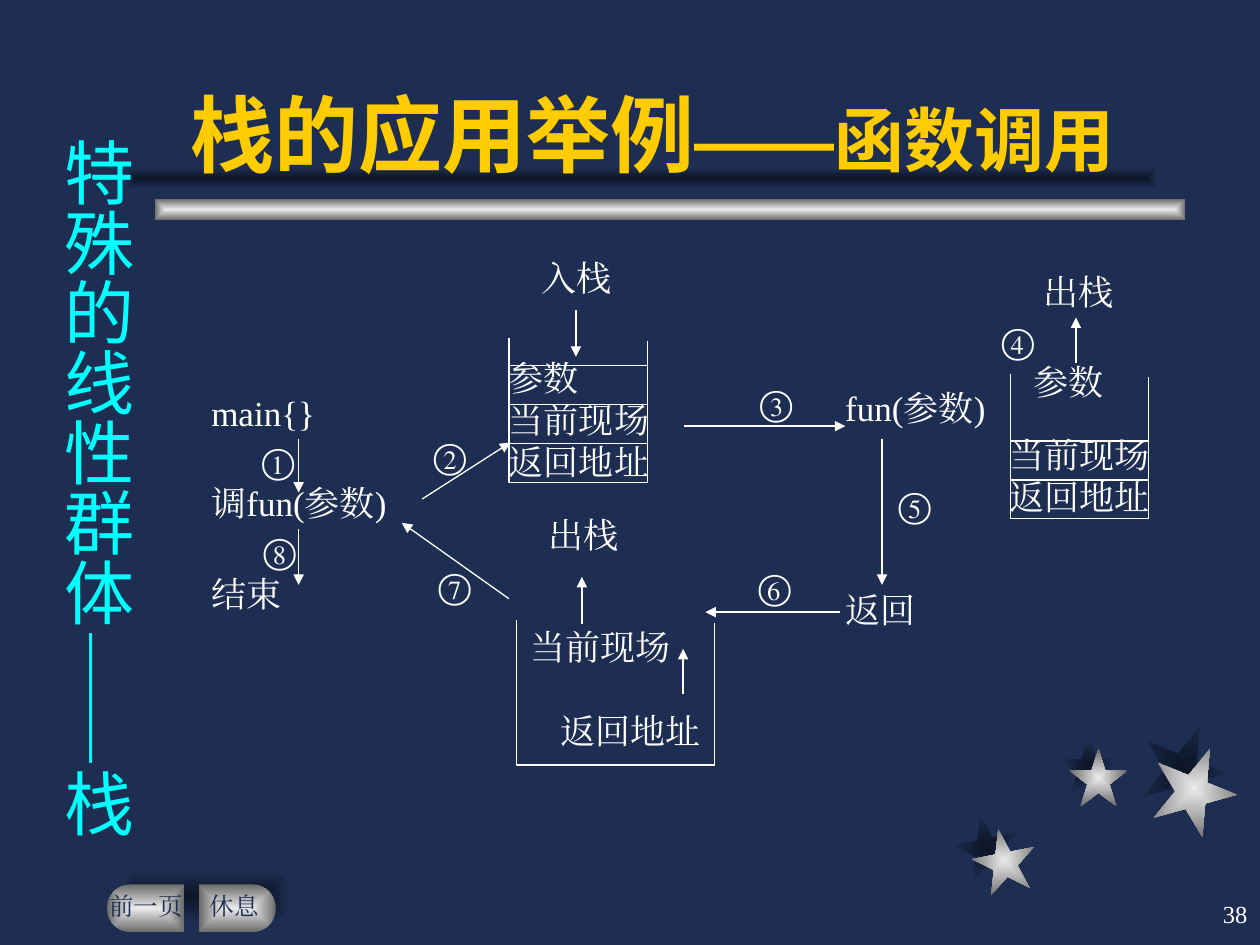
"""Build the slide on stacks and function calls."""
from math import cos, pi, sin

from lxml.etree import SubElement
from pptx import Presentation
from pptx.dml.color import RGBColor
from pptx.enum.shapes import MSO_CONNECTOR, MSO_SHAPE
from pptx.enum.text import MSO_ANCHOR, MSO_AUTO_SIZE, PP_ALIGN
from pptx.oxml.ns import qn
from pptx.util import Cm, Pt

NAVY = RGBColor(0x1E, 0x2E, 0x53)
SHADE = RGBColor(0x0D, 0x15, 0x26)
SILVER = RGBColor(0xEA, 0xEA, 0xEA)
GREY = RGBColor(0x6B, 0x6B, 0x6B)
GOLD = RGBColor(0xFF, 0xCC, 0x00)
CYAN = RGBColor(0x00, 0xFF, 0xFF)
WHITE = RGBColor(0xFF, 0xFF, 0xFF)
DARK, LIGHT = (SHADE, NAVY), (SILVER, GREY)
SERIF = "Times New Roman"


def glow(shape, colors):
    """Fill a shape with a gradient from its centre to its edges."""
    shape.shadow.inherit = False
    shape.line.fill.background()
    shape.fill.gradient()
    for stop, color in zip(shape.fill.gradient_stops, colors):
        stop.color.rgb = color
    gradient = shape._element.spPr.find(qn("a:gradFill"))
    gradient.remove(gradient.find(qn("a:lin")))
    focus = SubElement(gradient, qn("a:path"), path="rect")
    SubElement(focus, qn("a:fillToRect"), l="50000", t="50000", r="50000", b="50000")


def write(box, paragraphs, size=20, color=WHITE, font=SERIF, bold=False,
          align=PP_ALIGN.LEFT, anchor=MSO_ANCHOR.TOP, margins=(0, 0),
          gap=0, spacing=1.0, indent=0):
    """Write paragraphs, each a list of (text, size) pairs or a plain string."""
    frame = box.text_frame
    frame.word_wrap = True
    frame.auto_size = MSO_AUTO_SIZE.NONE
    frame.vertical_anchor = anchor
    frame.margin_left = frame.margin_right = Cm(margins[0])
    frame.margin_top = frame.margin_bottom = Cm(margins[1])
    for index, content in enumerate(paragraphs):
        para = frame.add_paragraph() if index else frame.paragraphs[0]
        para.alignment = align
        para.line_spacing = spacing
        if index:
            para.space_before = Pt(gap)
            para._p.get_or_add_pPr().set("marL", str(Cm(indent)))
        spans = [(content, size)] if isinstance(content, str) else content
        for text, points in spans:
            span = para.add_run()
            span.text = text
            span.font.size = Pt(points)
            span.font.name = font
            span.font.bold = bold
            span.font.color.rgb = color
            SubElement(span._r.get_or_add_rPr(), qn("a:ea"), typeface=font)


deck = Presentation()
deck.slide_width, deck.slide_height = Cm(25.4), Cm(19.05)
page = deck.slides.add_slide(deck.slide_layouts[5])
page.background.fill.solid()
page.background.fill.fore_color.rgb = NAVY
shapes = page.shapes

decorations = [
    (MSO_SHAPE.STAR_5_POINT, 19.25, 16.43, 1.27, 1.27, 349, DARK),
    (MSO_SHAPE.STAR_5_POINT, 21.36, 14.86, 1.17, 1.17, 0, DARK),
    (MSO_SHAPE.STAR_5_POINT, 23.01, 14.61, 1.7, 1.7, 22, DARK),
    (MSO_SHAPE.STAR_5_POINT, 19.61, 16.71, 1.27, 1.27, 349, LIGHT),
    (MSO_SHAPE.STAR_5_POINT, 21.56, 15.09, 1.17, 1.17, 0, LIGHT),
    (MSO_SHAPE.STAR_5_POINT, 23.22, 15.04, 1.7, 1.7, 22, LIGHT),
    (MSO_SHAPE.RECTANGLE, 3.12, 4.01, 20.78, 0.43, 0, LIGHT),
    (MSO_SHAPE.RECTANGLE, 2.54, 3.38, 20.78, 0.43, 0, DARK),
    (MSO_SHAPE.ROUNDED_RECTANGLE, 2.46, 17.53, 3.4, 1.07, 0, DARK),
]
for kind, left, top, width, height, turn, colors in decorations:
    decoration = shapes.add_shape(kind, Cm(left), Cm(top), Cm(width), Cm(height))
    decoration.rotation = turn
    if kind == MSO_SHAPE.ROUNDED_RECTANGLE:
        decoration.adjustments[0] = 0.5
    glow(decoration, colors)

radius, middle = 0.48, 18.31
for flat, center, side in [(3.71, 2.64, -1), (4.01, 5.08, 1)]:
    angles = [pi * step / 20 - pi / 2 for step in range(21)]
    arc = [(Cm(center + side * radius * cos(angle)), Cm(middle + radius * sin(angle)))
           for angle in angles]
    outline = shapes.build_freeform(Cm(flat), Cm(middle - radius), scale=1.0)
    outline.add_line_segments(arc + [(Cm(flat), Cm(middle + radius))], close=True)
    glow(outline.convert_to_shape(), LIGHT)

title = shapes.title
shapes._spTree.append(title._element)
title.left, title.top, title.width, title.height = Cm(3.6), Cm(0.64), Cm(19.9), Cm(3.18)
write(title, [[("栈的应用举例", 48), ("——函数调用", 40)]], color=GOLD, font="Arial",
      bold=True, anchor=MSO_ANCHOR.BOTTOM, margins=(0.25, 0.13))

chapter = shapes.add_textbox(Cm(0.76), Cm(2.54), Cm(2.18), Cm(14.61))
write(chapter, ["特殊的线性群体——栈"], size=40, color=CYAN,
      font="Noto Sans CJK SC", margins=(0.13, 0.25))
chapter.text_frame._txBody.bodyPr.set("vert", "eaVert")

labels = [
    (2.2, 17.96, 1.7, 0.58, ["前一页"], dict(size=14, color=NAVY)),
    (4.23, 17.96, 1.4, 0.58, ["休息"], dict(size=14, color=NAVY)),
    (4.01, 7.67, 4.67, 5.23, ["main{}", "调fun(参数)", "结束"],
     dict(margins=(0.25, 0.13), gap=25.5, spacing=1.1)),
    (16.79, 7.67, 3.94, 5.23, ["fun(参数)", "返回"],
     dict(margins=(0.25, 0.13), gap=91)),
    (10.26, 7.19, 2.92, 2.51, ["参数", "当前现场", "返回地址"], {}),
    (20.35, 8.74, 2.92, 1.8, ["当前现场", "返回地址"], {}),
    (20.83, 7.26, 1.9, 0.89, ["参数"], {}),
    (10.69, 12.6, 3.58, 3.05, ["当前现场", "返回地址"], dict(gap=24, indent=0.6)),
    (10.59, 5.18, 2.08, 0.89, ["入栈"], dict(align=PP_ALIGN.CENTER)),
    (20.7, 5.46, 2.08, 0.89, ["出栈"], dict(align=PP_ALIGN.CENTER)),
    (10.72, 10.36, 2.08, 0.89, ["出栈"], dict(align=PP_ALIGN.CENTER)),
    (20.12, 17.78, 5.28, 1.27, ["38"],
     dict(size=14, align=PP_ALIGN.RIGHT, anchor=MSO_ANCHOR.MIDDLE, margins=(0.25, 0.13))),
]
steps = [("①", 5.28, 8.86), ("②", 8.74, 8.76), ("③", 15.32, 7.7), ("④", 20.19, 6.45),
         ("⑤", 18.11, 9.75), ("⑥", 15.29, 11.4), ("⑦", 8.84, 11.38), ("⑧", 5.31, 10.67)]
labels += [(left, top, 0.74, 0.74, [number], {}) for number, left, top in steps]
for left, top, width, height, paragraphs, style in labels:
    label = shapes.add_textbox(Cm(left), Cm(top), Cm(width), Cm(height))
    write(label, paragraphs, **style)

lines = [
    (6.02, 8.84, 6.02, 9.93, True),
    (6.02, 10.67, 6.02, 11.79, True),
    (8.51, 10.06, 10.29, 8.92, True),
    (10.26, 12.07, 8.1, 10.54, True),
    (17.78, 8.84, 17.78, 11.79, True),
    (13.79, 8.59, 17.04, 8.59, True),
    (16.94, 12.34, 14.22, 12.34, True),
    (11.61, 6.25, 11.61, 7.19, True),
    (21.69, 7.32, 21.69, 6.4, True),
    (11.73, 12.57, 11.73, 11.63, True),
    (13.77, 14, 13.77, 13.08, True),
]
depth, row_height = 2.92, 0.785
for left, top, width, rows in [(10.26, 6.81, 2.79, 3), (20.37, 7.54, 2.79, 2),
                               (10.41, 12.5, 3.99, 0)]:
    right, bottom = left + width, top + depth
    outline = shapes.build_freeform(Cm(left), Cm(top), scale=1.0)
    outline.add_line_segments([(Cm(left), Cm(bottom)), (Cm(right), Cm(bottom)),
                               (Cm(right), Cm(top + 0.06))], close=False)
    stack = outline.convert_to_shape()
    stack.shadow.inherit = False
    stack.fill.background()
    stack.line.color.rgb = WHITE
    stack.line.width = Pt(0.75)
    for row in range(1, rows + 1):
        level = bottom - row * row_height
        lines.append((left, level, right, level, False))

for x1, y1, x2, y2, arrow in lines:
    line = shapes.add_connector(MSO_CONNECTOR.STRAIGHT, Cm(x1), Cm(y1), Cm(x2), Cm(y2))
    line.line.color.rgb = WHITE
    line.line.width = Pt(0.75)
    properties = line._element.spPr
    if arrow:
        SubElement(properties.find(qn("a:ln")), qn("a:tailEnd"), type="triangle")
    SubElement(properties, qn("a:effectLst"))

deck.save("out.pptx")
